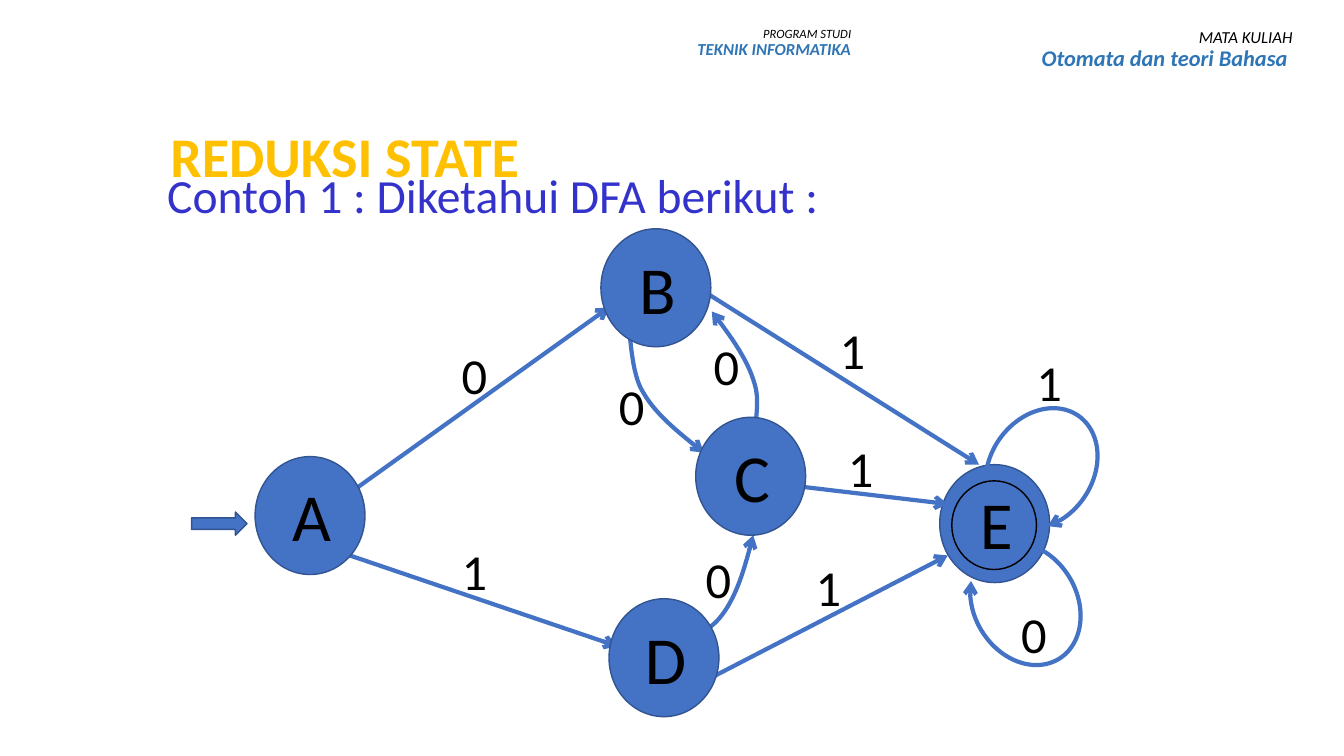
from lxml import etree
from pptx import Presentation
from pptx.dml.color import RGBColor
from pptx.enum.shapes import MSO_CONNECTOR, MSO_SHAPE
from pptx.enum.text import MSO_ANCHOR, PP_ALIGN
from pptx.oxml.ns import qn
from pptx.util import Inches, Pt

BLUE = RGBColor(0x44, 0x72, 0xC4)
OUTLINE = RGBColor(0x32, 0x54, 0x91)
HEADING_BLUE = RGBColor(0x2E, 0x75, 0xB6)
GOLD = RGBColor(0xFF, 0xC0, 0x00)
INDIGO = RGBColor(0x33, 0x33, 0xCC)
BLACK = RGBColor(0, 0, 0)
FONT = "Calibri"

STATES = {"A": (2.53, 4.53), "B": (5.96, 2.27), "C": (6.9, 4.14), "D": (6.04, 5.94)}
FINAL_STATE = ("E", (9.32, 4.61))

STRAIGHT_EDGES = [
    ((3.54, 4.84), (6.04, 3.05)),
    ((2.76, 5.27), (6.12, 6.41)),
    ((6.98, 2.89), (9.71, 4.61)),
    ((7.45, 4.77), (9.4, 5)),
    ((7.06, 6.72), (9.4, 5.51)),
]
CURVED_EDGES = [
    [(7.38, 4.77), (7.38, 4.77), (7.55, 4.15), (7.5, 3.87),
     (7.44, 3.59), (7.25, 3.34), (7.06, 3.09)],
    [(6.23, 2.95), (6.23, 2.95), (6.23, 3.59), (6.35, 3.84),
     (6.48, 4.1), (6.73, 4.29), (6.98, 4.49)],
    [(6.35, 6.61), (6.35, 6.61), (6.94, 6.36), (7.13, 6.14),
     (7.31, 5.93), (7.39, 5.62), (7.47, 5.31)],
]
LOOPS = [((9.69, 4.14), 304.8, 83.38), ((9.53, 5.48), 58.9, 86.31)]
EDGE_LABELS = [
    ("0", 4.48, 3.36), ("1", 4.48, 5.31), ("0", 6.04, 3.67), ("0", 6.98, 3.28),
    ("1", 8.23, 3.12), ("1", 8.31, 4.29), ("1", 7.99, 5.47), ("0", 6.9, 5.39),
    ("1", 10.18, 3.43), ("0", 10.03, 5.93),
]


def style_paragraph(paragraph, text, size, color, align=PP_ALIGN.LEFT,
                    bold=False, italic=False, spacing=1.0):
    paragraph.text = text
    paragraph.alignment = align
    paragraph.line_spacing = spacing
    font = paragraph.font
    font.name, font.size, font.bold, font.italic = FONT, Pt(size), bold, italic
    font.color.rgb = color


def add_text(shapes, left, top, width, height):
    frame = shapes.add_textbox(*map(Inches, (left, top, width, height))).text_frame
    frame.word_wrap = True
    return frame


def add_heading(slide, box, caption, caption_size, name, name_size):
    frame = add_text(slide.shapes, *box)
    style_paragraph(frame.paragraphs[0], caption, caption_size, BLACK,
                    PP_ALIGN.RIGHT, italic=True, spacing=0.9)
    style_paragraph(frame.add_paragraph(), name, name_size, HEADING_BLUE,
                    PP_ALIGN.RIGHT, bold=True, italic=True, spacing=0.9)


def add_solid(shapes, kind, left, top, width, height):
    solid = shapes.add_shape(kind, *map(Inches, (left, top, width, height)))
    solid.shadow.inherit = False
    solid.fill.solid()
    solid.fill.fore_color.rgb = BLUE
    solid.line.color.rgb = OUTLINE
    solid.line.width = Pt(1)
    return solid


def add_state(slide, name, left, top, final=False):
    members = slide.shapes.add_group_shape().shapes
    add_solid(members, MSO_SHAPE.OVAL, left, top, 1.09, 1.17)
    label = add_text(members, left + 0.17, top + 0.13, 0.78, 0.91)
    style_paragraph(label.paragraphs[0], name, 48, BLACK, PP_ALIGN.CENTER)
    if final:
        ring = add_solid(members, MSO_SHAPE.OVAL, left + 0.12, top + 0.16, 0.84, 0.88)
        ring.fill.background()
        ring.line.color.rgb = BLACK


def style_edge(edge):
    edge.line.color.rgb = BLUE
    edge.line.width = Pt(3)
    etree.SubElement(edge.line._get_or_add_ln(), qn("a:tailEnd"), type="arrow")


def add_straight_edge(slide, start, end):
    edge = slide.shapes.add_connector(MSO_CONNECTOR.STRAIGHT, *map(Inches, start + end))
    style_edge(edge)
    etree.SubElement(edge._element.spPr, qn("a:effectLst"))


def bezier_points(p0, p1, p2, p3, steps=16):
    for step in range(1, steps + 1):
        t = step / steps
        u = 1 - t
        yield tuple(
            Inches(u**3 * a + 3 * u * u * t * b + 3 * u * t * t * c + t**3 * d)
            for a, b, c, d in zip(p0, p1, p2, p3))


def add_curved_edge(slide, controls):
    builder = slide.shapes.build_freeform(*map(Inches, controls[0]))
    for first in range(0, len(controls) - 1, 3):
        builder.add_line_segments(bezier_points(*controls[first:first + 4]), close=False)
    edge = builder.convert_to_shape()
    edge.shadow.inherit = False
    edge.fill.background()
    style_edge(edge)


def add_loop(slide, corner, rotation, end_angle):
    loop = add_solid(slide.shapes, MSO_SHAPE.ARC, *corner, 1.28, 1.02)
    loop.fill.background()
    loop.adjustments[0] = 137.55
    loop.adjustments[1] = end_angle
    loop.rotation = rotation
    style_edge(loop)


def add_title(slide):
    title = slide.shapes.title
    title.left, title.top, title.width, title.height = map(Inches, (1.69, 1.13, 10.66, 0.89))
    frame = title.text_frame
    frame.vertical_anchor = MSO_ANCHOR.MIDDLE
    frame.margin_left = frame.margin_right = frame.margin_bottom = 0
    frame.margin_top = Inches(0.01)
    style_paragraph(frame.paragraphs[0], "REDUKSI STATE", 40, GOLD, bold=True, spacing=0.9)


def main():
    deck = Presentation()
    deck.slide_width, deck.slide_height = Inches(13.33), Inches(7.5)
    slide = deck.slides.add_slide(deck.slide_layouts[5])

    add_title(slide)
    add_heading(slide, (6.03, 0.22, 2.51, 0.56),
                "PROGRAM STUDI", 9, "TEKNIK INFORMATIKA", 12)
    add_heading(slide, (9.16, 0.24, 3.76, 0.74),
                "MATA KULIAH", 12, "Otomata dan teori Bahasa ", 16)
    example = add_text(slide.shapes, 1.56, 1.71, 8.05, 0.56)
    style_paragraph(example.paragraphs[0], "Contoh 1 : Diketahui DFA berikut :",
                    34, INDIGO, spacing=0.8)

    final_name, final_corner = FINAL_STATE
    add_state(slide, final_name, *final_corner, final=True)
    for start, end in STRAIGHT_EDGES:
        add_straight_edge(slide, start, end)
    for controls in CURVED_EDGES:
        add_curved_edge(slide, controls)
    for name, corner in STATES.items():
        add_state(slide, name, *corner)
    add_solid(slide.shapes, MSO_SHAPE.RIGHT_ARROW, 1.9, 5.08, 0.55, 0.23)
    for corner, rotation, end_angle in LOOPS:
        add_loop(slide, corner, rotation, end_angle)
    for symbol, left, top in EDGE_LABELS:
        label = add_text(slide.shapes, left, top, 0.55, 0.71)
        style_paragraph(label.paragraphs[0], symbol, 36, BLACK)

    deck.save("out.pptx")


if __name__ == "__main__":
    main()
